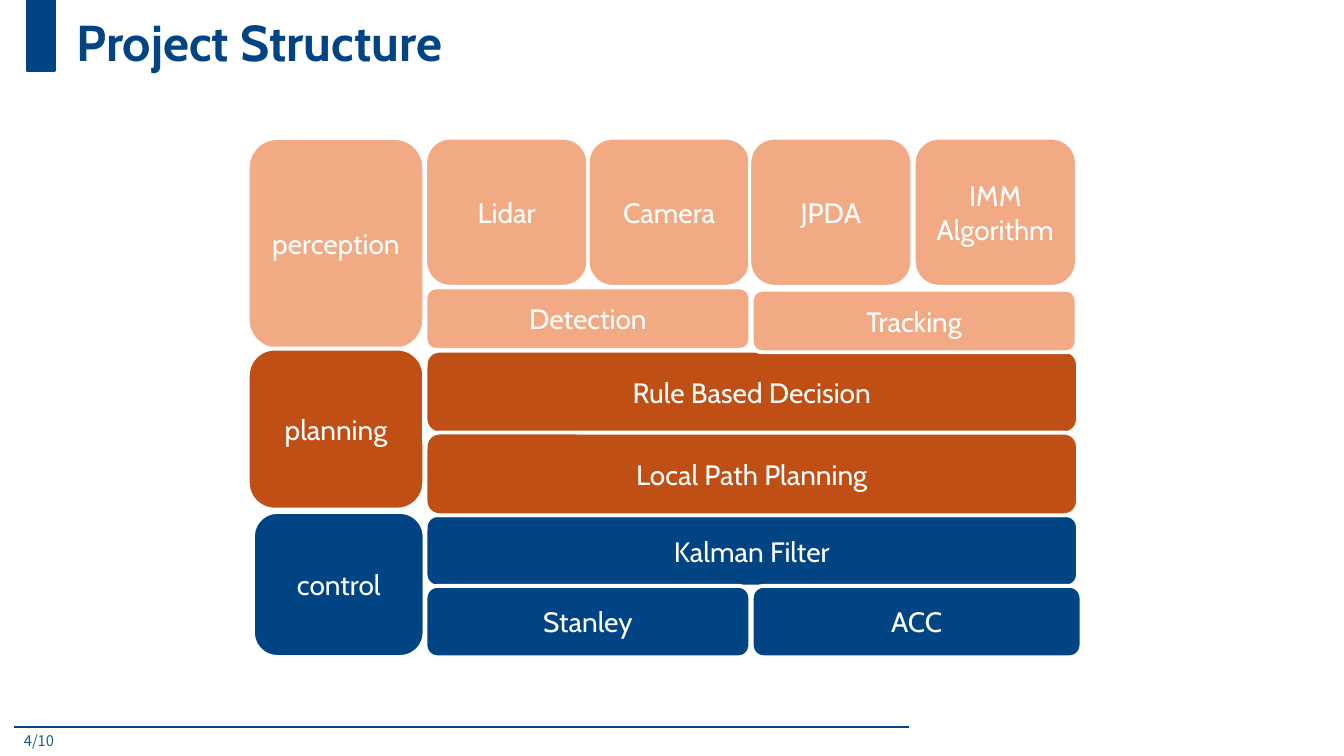
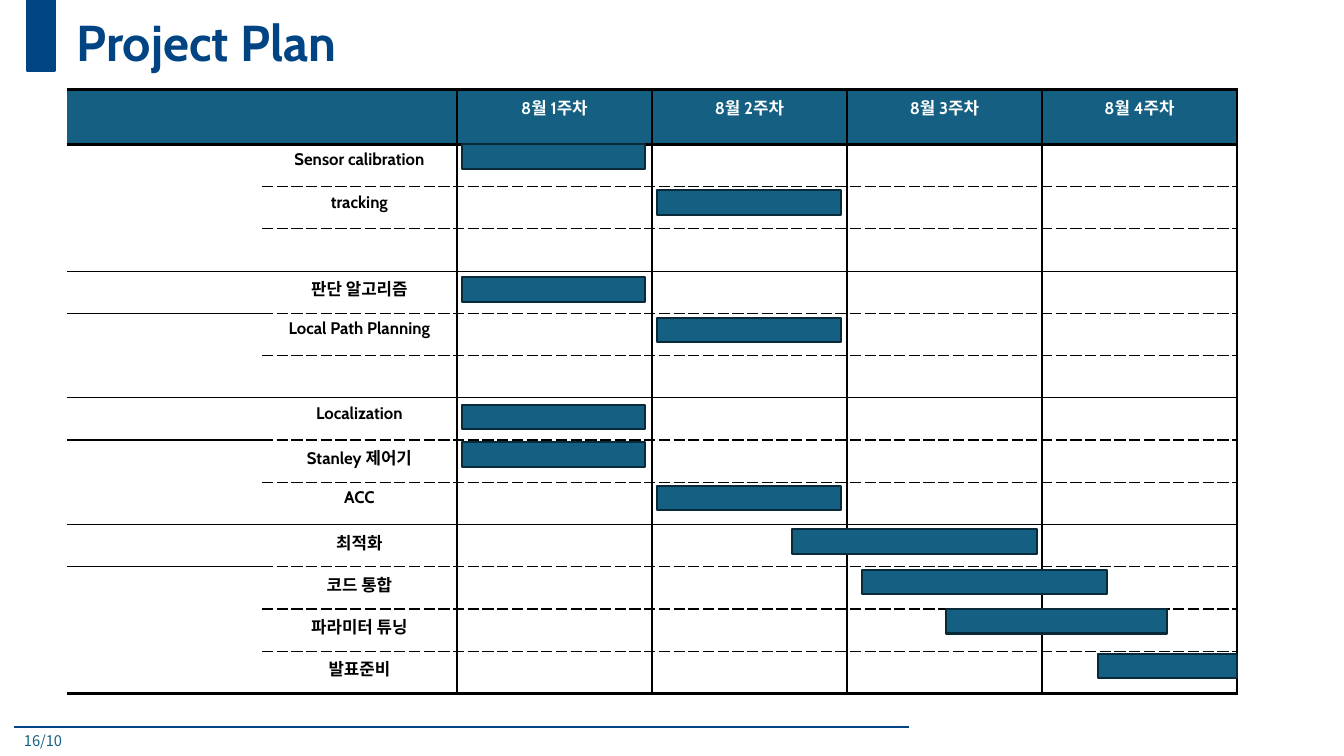
from lxml import etree
from pptx import Presentation
from pptx.dml.color import RGBColor
from pptx.enum.shapes import MSO_CONNECTOR, MSO_SHAPE
from pptx.enum.text import MSO_ANCHOR, PP_ALIGN
from pptx.oxml.ns import qn
from pptx.util import Pt

RECT, ROUNDED = MSO_SHAPE.RECTANGLE, MSO_SHAPE.ROUNDED_RECTANGLE
STRAIGHT = MSO_CONNECTOR.STRAIGHT
LEFT, CENTER = PP_ALIGN.LEFT, PP_ALIGN.CENTER
TOP, MIDDLE = MSO_ANCHOR.TOP, MSO_ANCHOR.MIDDLE

NAVY, RULE_BLUE, TEAL, DARK_TEAL = "004483", "004585", "156082", "092A39"
PEACH, RUST, WHITE, BLACK = "F2AA84", "C04F15", "FFFFFF", "000000"
LATIN_FONT, KOREAN_FONT = "Cabin", "Noto Sans CJK KR"
TITLE_ONLY = 5


def rgb(hex_color):
    return RGBColor.from_string(hex_color)


class Deck:
    """Shared style and the slide being filled; all lengths in points."""

    def __init__(self):
        self.prs = Presentation()
        self.prs.slide_width, self.prs.slide_height = Pt(960), Pt(540)
        self.slide = None

    def new_slide(self, title, page):
        self.slide = self.prs.slides.add_slide(
            self.prs.slide_layouts[TITLE_ONLY])
        # Footer
        self.rule(10, 519, 649.5)
        footer = self.slide.shapes.add_textbox(
            Pt(10), Pt(519), Pt(411), Pt(21)).text_frame
        self.set_text(footer, page, 10.5, TEAL, font=KOREAN_FONT)
        # Accent band and title
        self.box(RECT, 19.5, 0, 19.5, 51, NAVY, NAVY, 1.5)
        heading = self.slide.shapes.title
        heading.left, heading.top = Pt(47.5), Pt(0)
        heading.width, heading.height = Pt(861), Pt(64)
        self.set_text(heading.text_frame, title, 36, NAVY, bold=True,
                      anchor=MIDDLE)
        heading.text_frame.paragraphs[0].line_spacing = 0.9

    def set_text(self, frame, text, size, color, bold=False, align=LEFT,
                 anchor=TOP, font=LATIN_FONT):
        frame.word_wrap = True
        frame.vertical_anchor = anchor
        frame.text = text
        for paragraph in frame.paragraphs:
            paragraph.alignment = align
            paragraph.font.name = font
            paragraph.font.size = Pt(size)
            paragraph.font.bold = bold
            paragraph.font.color.rgb = rgb(color)

    def rule(self, left, y, right):
        line = self.slide.shapes.add_connector(
            STRAIGHT, Pt(left), Pt(y), Pt(right), Pt(y))
        line.line.color.rgb = rgb(RULE_BLUE)
        line.line.width = Pt(1.5)
        etree.SubElement(line._element.spPr, qn("a:effectLst"))

    def box(self, kind, left, top, width, height, fill, line, weight):
        shape = self.slide.shapes.add_shape(
            kind, Pt(left), Pt(top), Pt(width), Pt(height))
        shape.shadow.inherit = False
        shape.fill.solid()
        shape.fill.fore_color.rgb = rgb(fill)
        shape.line.color.rgb = rgb(line)
        shape.line.width = Pt(weight)
        return shape

    def block(self, text, left, top, width, height, fill, weight=2.75):
        shape = self.box(ROUNDED, left, top, width, height, fill, WHITE,
                         weight)
        self.set_text(shape.text_frame, text, 20, WHITE, align=CENTER,
                      anchor=MIDDLE)

    def bar(self, left, top, width):
        self.box(RECT, left, top, width, 17.5, TEAL, DARK_TEAL, 1.5)

    def table(self, left, top, column_width, heights, columns):
        table = self.slide.shapes.add_table(
            len(heights), columns, Pt(left), Pt(top),
            Pt(column_width * columns), Pt(sum(heights))).table
        table.first_row = table.horz_banding = False
        for column in table.columns:
            column.width = Pt(column_width)
        for row, height in zip(table.rows, heights):
            row.height = Pt(height)
        return table

    def cell(self, cell, text, fill, color, borders):
        """Borders map an edge (L, R, T, B) to (weight, dash) or None."""
        props = cell._tc.get_or_add_tcPr()
        for edge in "LRTB":
            border = etree.SubElement(props, qn(f"a:ln{edge}"))
            if borders[edge] is None:
                etree.SubElement(border, qn("a:noFill"))
                continue
            weight, dash = borders[edge]
            border.set("w", str(Pt(weight)))
            paint = etree.SubElement(border, qn("a:solidFill"))
            etree.SubElement(paint, qn("a:srgbClr"), val=BLACK)
            etree.SubElement(border, qn("a:prstDash"), val=dash)
        cell.fill.solid()
        cell.fill.fore_color.rgb = rgb(fill)
        self.set_text(cell.text_frame, text, 12, color, bold=True,
                      align=CENTER)


def project_structure(deck):
    deck.new_slide("Project Structure", "4/10")
    layers_x, parts_x, right_half_x = 177, 304, 537
    full, half, quarter = 466, 232, 116

    # Full-width parts
    for text, top, height, fill in (("Kalman Filter", 368, 51, NAVY),
                                    ("Rule Based Decision", 250.5, 59, RUST),
                                    ("Local Path Planning", 309, 59, RUST)):
        deck.block(text, parts_x, top, full, height, fill)

    # Perception parts
    for text, left in (("Lidar", parts_x), ("Camera", 420),
                       ("JPDA", 535.5), ("IMM\nAlgorithm", 653)):
        deck.block(text, left, 98.6, quarter, 106, PEACH, 2.25)
    deck.block("Detection", parts_x, 205.3, half, 44.6, PEACH)
    deck.block("Tracking", right_half_x, 207, half, 44.6, PEACH)

    # Layers
    deck.block("perception", layers_x, 98.6, 126, 151, PEACH)
    deck.block("planning", layers_x, 249, 126, 115, RUST)
    deck.block("control", 181, 366, 122, 103, NAVY, 2.25)

    # Control parts
    deck.block("Stanley", parts_x, 418.5, half, 51, NAVY)
    deck.block("ACC", right_half_x, 418.5, 235.5, 51, NAVY)


def project_plan(deck):
    deck.new_slide("Project Plan", "16/10")
    weeks = [f"8월 {week}주차" for week in range(1, 5)]
    tasks = ["Sensor calibration", "tracking", "",
             "판단 알고리즘", "Local Path Planning", "",
             "Localization", "Stanley 제어기", "ACC",
             "최적화", "코드 통합", "파라미터 튜닝", "발표준비"]
    columns, last = 2 + len(weeks), len(tasks)
    phase_ends, phase_starts = (3, 6, 9), (4, 7, 10)
    thick, thin, dashed = (2, "solid"), (1, "solid"), (1, "sysDash")

    def line_below(row, col):
        if row in (-1, 0, last):
            return thick
        if row in phase_ends or (col == 0 and row in phase_starts):
            return thin
        return dashed if col else None

    # Schedule grid
    schedule = deck.table(47.8, 64, 139.3, [39.2] + [30.17] * last, columns)
    for row in range(last + 1):
        texts = ["", ""] + weeks if row == 0 else ["", tasks[row - 1]]
        texts += [""] * (columns - len(texts))
        fill, color = (TEAL, WHITE) if row == 0 else (WHITE, BLACK)
        for col, text in enumerate(texts):
            borders = {"L": thin if col > 1 else None,
                       "R": thin if col > 0 else None,
                       "T": line_below(row - 1, col),
                       "B": line_below(row, col)}
            deck.cell(schedule.cell(row, col), text, fill, color, borders)

    # One-week tasks
    for left, tops in ((330, (103, 198, 289, 316)),
                       (469.5, (136, 227, 347))):
        for top in tops:
            deck.bar(left, top, 131)

    # Tasks that cross weeks
    for left, top, width in ((566, 378, 175), (616, 407, 175),
                             (675.5, 435, 158), (784, 467, 99.5)):
        deck.bar(left, top, width)


def main():
    deck = Deck()
    project_structure(deck)
    project_plan(deck)
    deck.prs.save("out.pptx")


if __name__ == "__main__":
    main()
